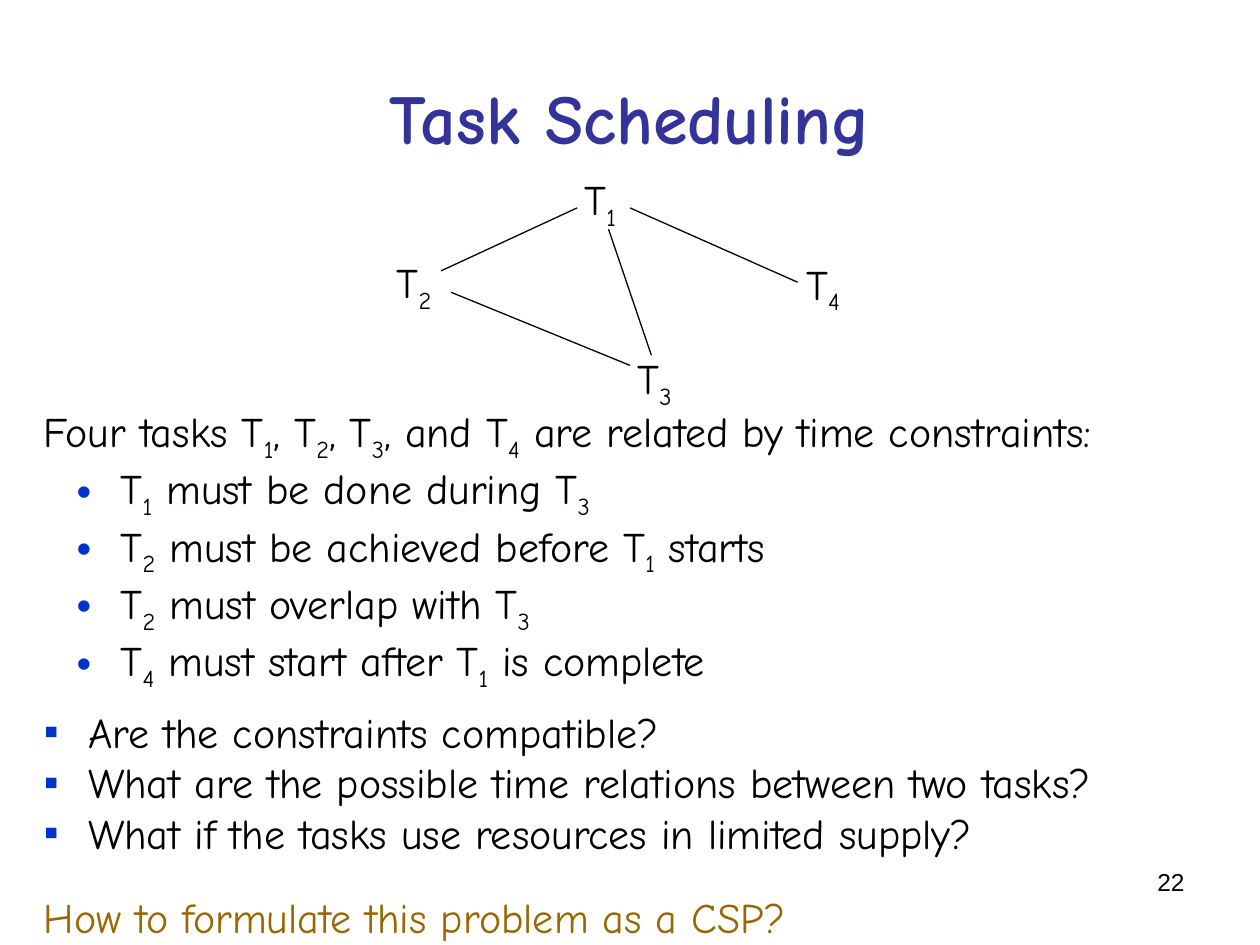
from lxml.etree import SubElement
from pptx import Presentation
from pptx.dml.color import RGBColor
from pptx.enum.shapes import MSO_CONNECTOR
from pptx.enum.text import MSO_ANCHOR, PP_ALIGN
from pptx.oxml.ns import qn
from pptx.util import Inches, Pt

FONT = "Comic Neue"
BLACK, BLUE, NAVY, BROWN = "000000", "0033CC", "333399", "996600"
NODES = {"T_1": (4.54, 1.33), "T_2": (3.05, 1.99), "T_3": (4.96, 2.75), "T_4": (6.3, 2)}
EDGES = [
    ((4.83, 1.82), (5.17, 2.82)),
    ((3.5, 2.15), (4.58, 1.65)),
    ((3.58, 2.32), (5, 2.9)),
    ((6.33, 2.24), (5, 1.65)),
]
INTRO = "Four tasks T_1, T_2, T_3, and T_4 are related by time constraints:"
CONSTRAINTS = [
    "T_1 must be done during T_3",
    "T_2 must be achieved before T_1 starts",
    "T_2 must overlap with T_3",
    "T_4 must start after T_1 is complete",
]
QUESTIONS = [
    "Are the constraints compatible?",
    "What are the possible time relations between two tasks?",
    "What if the tasks use resources in limited supply?",
]
CLOSING = "How to formulate this problem as a CSP?"


def rgb(color):
    """Turn a hex string into a colour."""
    return RGBColor.from_string(color)


def add_run(p, text, subscript=False, color=BLACK, **formats):
    """Add one formatted run, lowered if it is a subscript."""
    r = p.add_run()
    r.text = text
    for name, value in {"name": FONT, "size": Pt(24), **formats}.items():
        setattr(r.font, name, value)
    r.font.color.rgb = rgb(color)
    if subscript:
        r._r.get_or_add_rPr().set("baseline", "-25000")


def write(p, text, **formats):
    """Write text in which an underscore lowers the next character."""
    first, *rest = text.split("_")
    add_run(p, first, **formats)
    for part in rest:
        add_run(p, part[0], subscript=True, **formats)
        if part[1:]:
            add_run(p, part[1:], **formats)


def add_bullet(p, char, margin, hanging):
    """Give a paragraph a blue bullet and a hanging indent."""
    pPr = p._p.get_or_add_pPr()
    pPr.set("marL", str(Inches(margin)))
    pPr.set("indent", str(-Inches(hanging)))
    SubElement(SubElement(pPr, qn("a:buClr")), qn("a:srgbClr")).set("val", BLUE)
    SubElement(pPr, qn("a:buFont")).set("typeface", "Arial")
    SubElement(pPr, qn("a:buChar")).set("char", char)


def add_box(s, box):
    """Add an empty text box and return its text frame."""
    tf = s.shapes.add_textbox(*map(Inches, box)).text_frame
    tf.word_wrap = True
    return tf


def add_label(s, box, text, align=PP_ALIGN.LEFT, anchor=MSO_ANCHOR.TOP, **formats):
    """Add a text box that holds one paragraph."""
    tf = add_box(s, box)
    tf.vertical_anchor = anchor
    p = tf.paragraphs[0]
    p.alignment = align
    write(p, text, **formats)


def add_edge(s, start, end):
    """Draw a thin line between two points."""
    line = s.shapes.add_connector(MSO_CONNECTOR.STRAIGHT, *map(Inches, start + end))
    line.line.color.rgb = rgb(BLACK)
    line.line.width = Pt(0.75)
    SubElement(line._element.spPr, qn("a:effectLst"))


def add_body(s):
    """Add the intro, the constraints, the questions and the closing line."""
    tf = add_box(s, (0.25, 3.17, 9.75, 4.36))
    write(tf.paragraphs[0], INTRO)
    for text in CONSTRAINTS:
        p = tf.add_paragraph()
        add_bullet(p, "•", 0.61, 0.35)
        write(p, text)
    for text in QUESTIONS:
        p = tf.add_paragraph()
        add_bullet(p, "▪", 0.35, 0.35)
        if text == QUESTIONS[0]:
            p.space_before = Pt(8)
        write(p, text)
    p = tf.add_paragraph()
    p.space_before = Pt(19.5)
    write(p, CLOSING, color=BROWN)


def main():
    """Build the slide and save it."""
    prs = Presentation()
    prs.slide_width, prs.slide_height = Inches(10), Inches(7.5)
    s = prs.slides.add_slide(prs.slide_layouts[6])
    add_label(s, (0.5, 0.3, 9, 1.25), "Task Scheduling", PP_ALIGN.CENTER,
              MSO_ANCHOR.MIDDLE, color=NAVY, size=Pt(40), bold=True)
    add_body(s)
    for text, (left, top) in NODES.items():
        add_label(s, (left, top, 0.52, 0.56), text)
    for start, end in EDGES:
        add_edge(s, start, end)
    add_label(s, (7.17, 6.83, 2.33, 0.52), "22", PP_ALIGN.RIGHT, name="Arial", size=Pt(14))
    prs.save("out.pptx")


if __name__ == "__main__":
    main()
